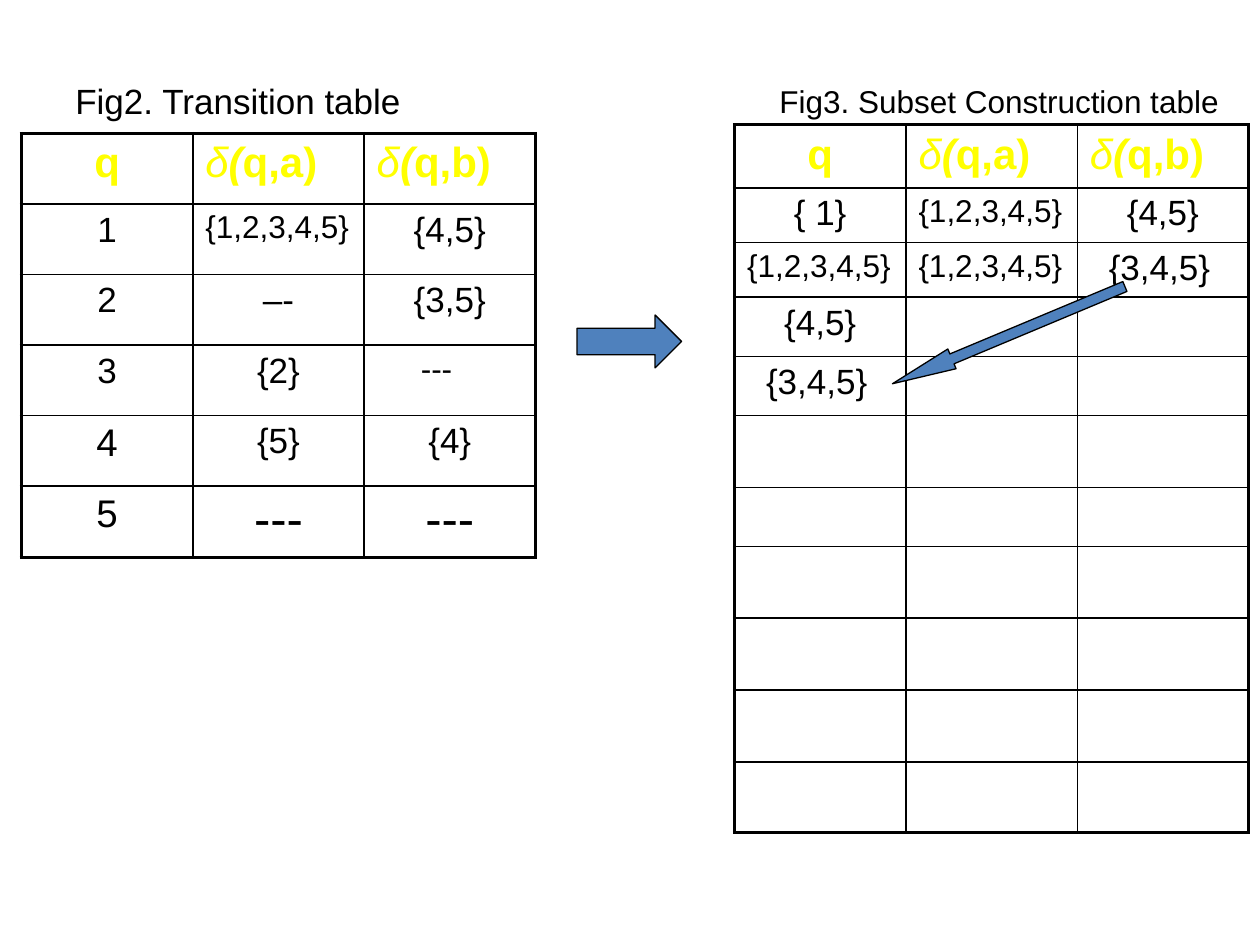
from lxml import etree
from pptx import Presentation
from pptx.dml.color import RGBColor
from pptx.enum.shapes import MSO_SHAPE as Shape
from pptx.enum.text import MSO_ANCHOR as Anchor, PP_ALIGN as Align
from pptx.oxml.ns import qn
from pptx.util import Inches, Pt

BLACK = RGBColor(0, 0, 0)
YELLOW = RGBColor(0xFF, 0xFF, 0)
BLUE = RGBColor(0x4F, 0x81, 0xBD)
THIN, THICK = 0.96, 2.21
COLUMN_WIDTHS = [1.36] * 3

# A body cell is (text, size), centred, or (text, size, left indent in inches)
SET_OF_FIVE = ("{1,2,3,4,5}", 18, 0)
TRANSITIONS = [
    [("1", 20), SET_OF_FIVE, ("{4,5}", 20)],
    [("2", 20), ("–-", 20), ("{3,5}", 20)],
    [("3", 20), ("{2}", 20), ("---", 18, 0.35)],
    [("4", 22), ("{5}", 20), ("{4}", 20)],
    [("5", 22), ("---", 28), ("---", 28)],
]
SUBSETS = [
    [("{ 1}", 20), SET_OF_FIVE, ("{4,5}", 20)],
    [SET_OF_FIVE, SET_OF_FIVE, ("{3,4,5}", 20, 0.15)],
    [("{4,5}", 20)],
    [("{3,4,5}", 20, 0.15)],
]


def add_run(paragraph, text, **formats):
    run = paragraph.add_run()
    run.text = text
    values = {"name": "Arial", "size": Pt(20), "bold": False, "italic": False}
    color = formats.pop("color", BLACK)
    for name, value in (values | formats).items():
        setattr(run.font, name, value)
    run.font.color.rgb = color


def add_caption(slide, box, text, size, align, wrap):
    frame = slide.shapes.add_textbox(*map(Inches, box)).text_frame
    frame.word_wrap = wrap
    paragraph = frame.paragraphs[0]
    paragraph.alignment = align
    add_run(paragraph, text, size=Pt(size))


def add_arrow(slide, kind, box, adjustments, rotation=0):
    shape = slide.shapes.add_shape(kind, *map(Inches, box))
    shape.rotation = rotation
    shape.shadow.inherit = False
    for index, value in enumerate(adjustments):
        shape.adjustments[index] = value
    shape.fill.solid()
    shape.fill.fore_color.rgb = BLUE
    shape.line.color.rgb = BLACK
    shape.line.width = Pt(0.75)


def set_borders(cell, widths):
    properties = cell._tc.get_or_add_tcPr()
    for side, width in widths.items():
        line = etree.SubElement(properties, qn(f"a:ln{side}"), w=str(Pt(width)))
        fill = etree.SubElement(line, qn("a:solidFill"))
        etree.SubElement(fill, qn("a:srgbClr"), val=str(BLACK))


def fill_header(cells):
    yellow = {"size": Pt(24), "color": YELLOW}
    symbol, *functions = [cell.text_frame.paragraphs[0] for cell in cells]
    symbol.alignment = Align.CENTER
    add_run(symbol, "q", bold=True, **yellow)
    for paragraph, letter in zip(functions, "ab"):
        add_run(paragraph, "δ", italic=True, **yellow)
        add_run(paragraph, "(", bold=True, italic=True, **yellow)
        add_run(paragraph, f"q,{letter})", bold=True, **yellow)


def fill_cell(cell, text, size, indent=None):
    paragraph = cell.text_frame.paragraphs[0]
    if indent is None:
        paragraph.alignment = Align.CENTER
    elif indent:
        paragraph._p.get_or_add_pPr().set("marL", str(Inches(indent)))
    add_run(paragraph, text, size=Pt(size))


def add_state_table(slide, left, top, heights, body):
    last_row, last_column = len(heights) - 1, len(COLUMN_WIDTHS) - 1
    table = slide.shapes.add_table(
        len(heights), len(COLUMN_WIDTHS), Inches(left), Inches(top),
        Inches(sum(COLUMN_WIDTHS)), Inches(sum(heights))).table
    table.first_row = table.horz_banding = False
    for column, width in zip(table.columns, COLUMN_WIDTHS):
        column.width = Inches(width)

    # Thin grid inside a thick outer frame
    for r, height in enumerate(heights):
        table.rows[r].height = Inches(height)
        for c in range(len(COLUMN_WIDTHS)):
            cell = table.cell(r, c)
            outer = {"L": c == 0, "R": c == last_column,
                     "T": r == 0, "B": r == last_row}
            set_borders(cell, {side: THICK if edge else THIN
                               for side, edge in outer.items()})
            cell.fill.background()
            cell.vertical_anchor = Anchor.TOP

    # Contents
    fill_header(table.rows[0].cells)
    for r, row in enumerate(body, start=1):
        for c, content in enumerate(row):
            fill_cell(table.cell(r, c), *content)


def main():
    presentation = Presentation()
    presentation.slide_width, presentation.slide_height = Inches(10), Inches(7.5)
    slide = presentation.slides.add_slide(presentation.slide_layouts[6])

    # Transition table
    add_caption(slide, (0.5, 0.58, 9, 4.95), "Fig2. Transition table",
                20, Align.LEFT, True)
    add_state_table(slide, 0.17, 1.06, [0.56] * 6, TRANSITIONS)

    # Subset construction table
    add_state_table(slide, 5.83, 0.99,
                    [0.5, 0.43, 0.43, 0.47, 0.47, 0.57, 0.47, 0.57, 0.57, 0.57, 0.56],
                    SUBSETS)

    # Arrows: new subset to its row, and table to table
    add_arrow(slide, Shape.DOWN_ARROW, (7.92, 1.66, 0.17, 2), (0.5, 3.01), 67.3)
    add_arrow(slide, Shape.RIGHT_ARROW, (4.58, 2.5, 0.83, 0.42), (0.5, 0.5))
    add_caption(slide, (6.03, 0.6, 3.8, 0.4), "Fig3. Subset Construction table",
                18, Align.CENTER, False)

    presentation.save("out.pptx")


if __name__ == "__main__":
    main()
